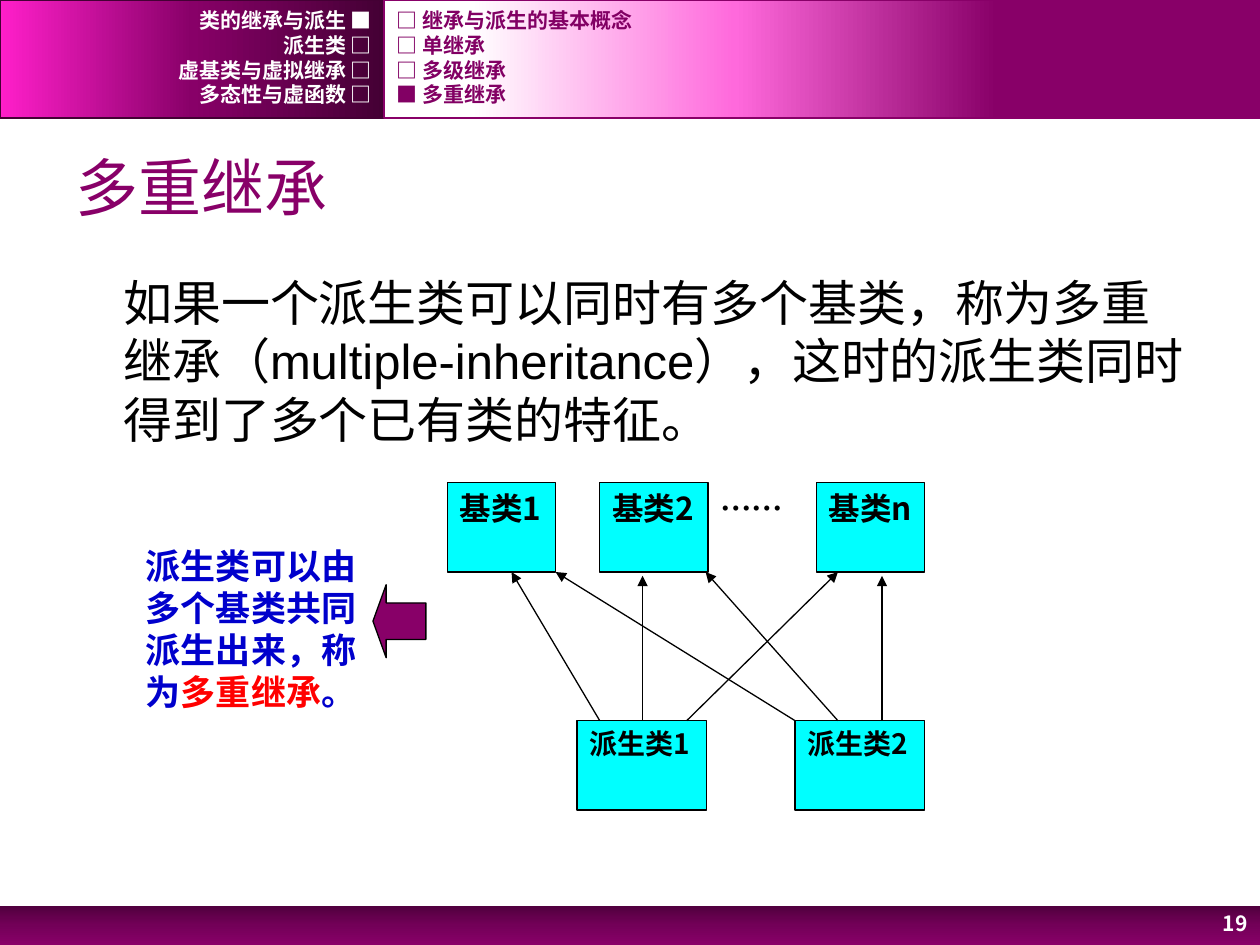
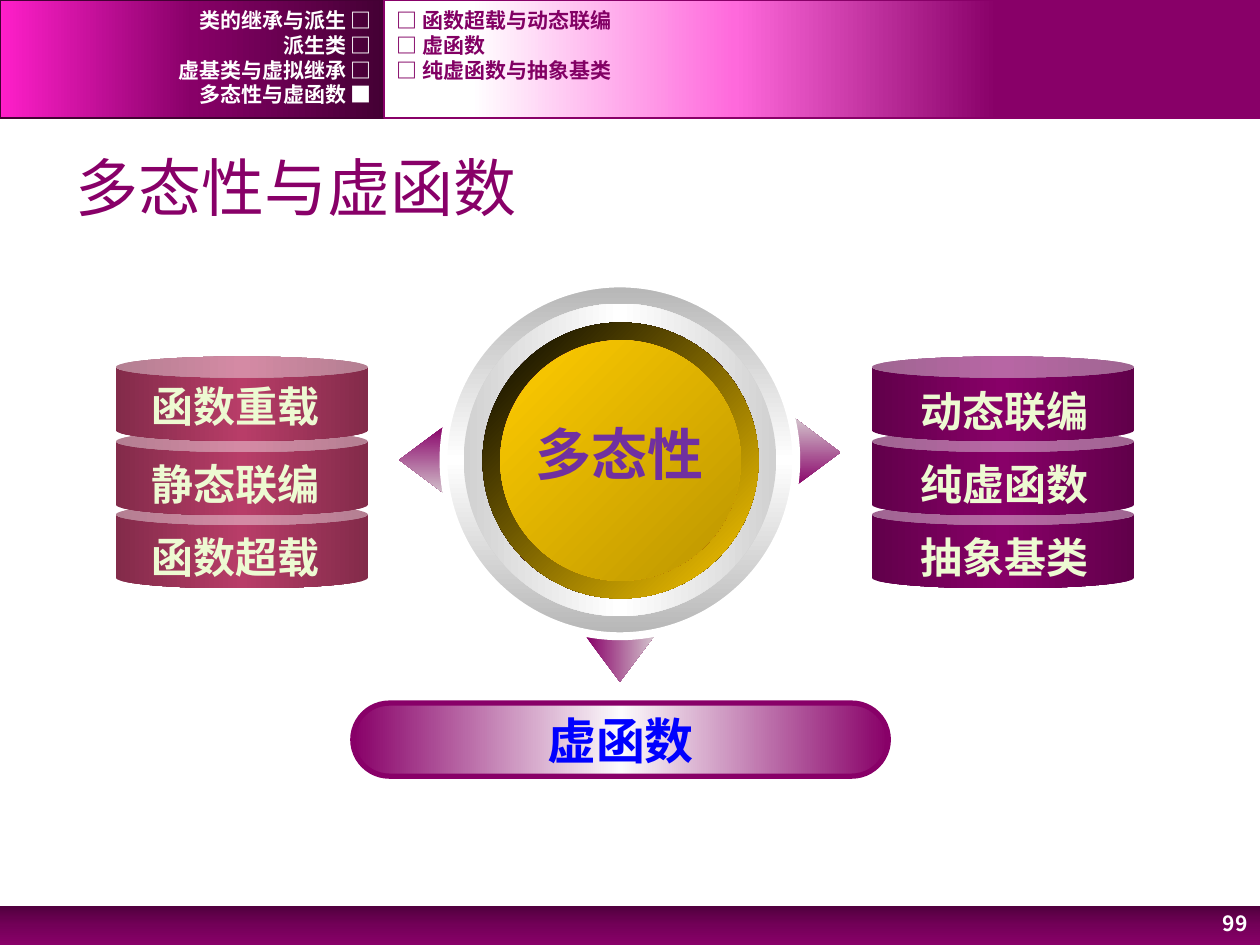
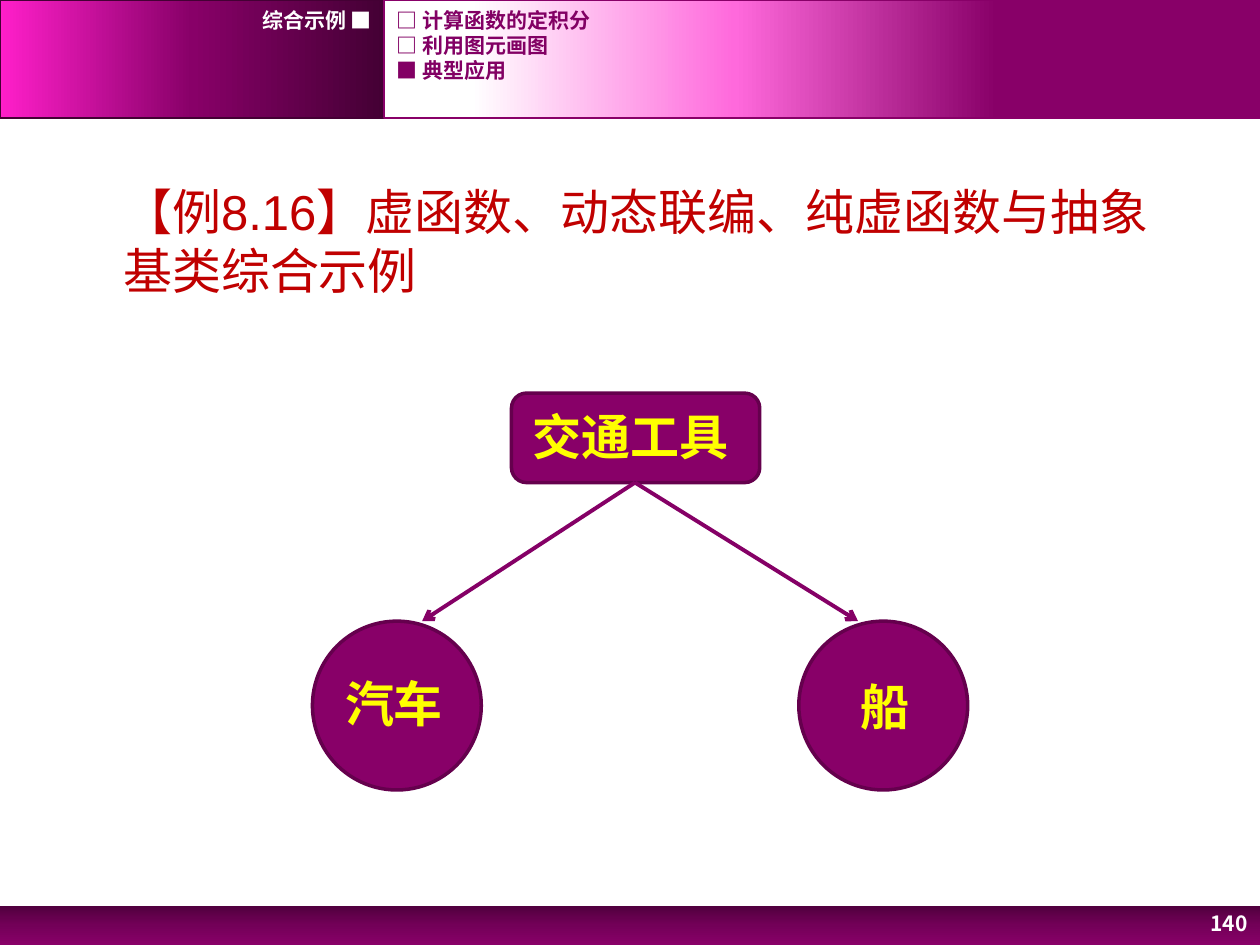
from lxml import etree
from pptx import Presentation
from pptx.dml.color import RGBColor
from pptx.enum.shapes import MSO_CONNECTOR, MSO_SHAPE
from pptx.enum.text import MSO_ANCHOR, PP_ALIGN
from pptx.oxml.ns import qn
from pptx.util import Inches, Pt

LINE = MSO_CONNECTOR.STRAIGHT
RECT, ROUND, OVAL = MSO_SHAPE.RECTANGLE, MSO_SHAPE.ROUNDED_RECTANGLE, MSO_SHAPE.OVAL
CAN, UP, BACK = MSO_SHAPE.CAN, MSO_SHAPE.UP_ARROW, MSO_SHAPE.LEFT_ARROW
TOP, MID = MSO_ANCHOR.TOP, MSO_ANCHOR.MIDDLE
LEFT, RIGHT, CENTER, FULL = PP_ALIGN.LEFT, PP_ALIGN.RIGHT, PP_ALIGN.CENTER, PP_ALIGN.JUSTIFY
SANS, ARIAL, MONO = "Noto Sans CJK SC", "Arial", "Courier New"
COLORS = {
    "plum": "880068", "dark": "440034", "deep": "51003E", "dusk": "730058",
    "pink": "FF1FCA", "rose": "FF69DC", "menu": "820064", "edge": "65004D",
    "arrow": "850066", "core": "680050", "pale": "FCFBFC", "wine": "B83D68",
    "white": "FFFFFF", "black": "000000", "cyan": "00FFFF", "gold": "FFCC00",
    "navy": "0000CC", "blue": "0000FF", "red": "FF0000", "brick": "C00000",
    "violet": "7030A0", "cream": "EDFAD2", "yellow": "FFFF00",
}


def shade(name, value):
    """Give a mirrored gradient whose ends are a shade of its middle."""
    return [(0, name, "shade", value), (50, name), (100, name, "shade", value)]


class Deck:
    """Hold the shared style and the current slide."""

    def __init__(self):
        """Open an empty 10 by 7.5 inch deck."""
        self.prs = Presentation()
        self.prs.slide_width, self.prs.slide_height = Inches(10), Inches(7.5)
        self.slide = None

    def color(self, name):
        """Look up a colour by name."""
        return RGBColor.from_string(COLORS[name])

    def blend(self, fill, stops, angle):
        """Apply a linear gradient running clockwise at the angle."""
        fill.gradient()
        fill.gradient_angle = -angle % 360
        group = fill._xPr.find(qn("a:gradFill")).find(qn("a:gsLst"))
        for old in list(group):
            group.remove(old)
        for spot, name, *mod in stops:
            stop = etree.SubElement(group, qn("a:gs"), pos=str(spot * 1000))
            tone = etree.SubElement(stop, qn("a:srgbClr"), val=COLORS[name])
            if mod:
                etree.SubElement(tone, qn("a:" + mod[0]), val=str(mod[1]))

    def shape(self, kind, box, fill, line=None, width=0.75, angle=0, adj=(), turn=None):
        """Draw a preset shape; a turn also mirrors it."""
        item = self.slide.shapes.add_shape(kind, *map(Inches, box))
        item.shadow.inherit = False
        for i, value in enumerate(adj):
            item.adjustments[i] = value
        if isinstance(fill, str):
            item.fill.solid()
            item.fill.fore_color.rgb = self.color(fill)
        else:
            self.blend(item.fill, fill, angle)
        if line:
            item.line.color.rgb = self.color(line)
            item.line.width = Pt(width)
        else:
            item.line.fill.background()
        if turn is not None:
            item.rotation = turn
            item._element.spPr.find(qn("a:xfrm")).set("flipH", "1")
        return item

    def label(self, item, runs, size, font=SANS, bold=True, align=LEFT, anchor=TOP, wrap=True):
        """Fill an item with one paragraph of (text, colour) runs."""
        frame = item.text_frame
        frame.word_wrap, frame.vertical_anchor = wrap, anchor
        para = frame.paragraphs[0]
        para.alignment = align
        for words, name in runs:
            run = para.add_run()
            run.text = words
            run.font.name, run.font.size, run.font.bold = font, Pt(size), bold
            run.font.color.rgb = self.color(name)
            etree.SubElement(run._r.get_or_add_rPr(), qn("a:ea"), typeface=SANS)
        return para

    def text(self, box, runs, size, **style):
        """Add a text box."""
        item = self.slide.shapes.add_textbox(*map(Inches, box))
        return self.label(item, runs, size, **style)

    def title(self, words):
        """Add the slide title."""
        self.text((0.5, 1.09, 9, 0.78), [(words, "plum")], 36, font=ARIAL, bold=False, anchor=MID)

    def body(self, top, words, name):
        """Add the indented body text."""
        para = self.text((0.5, top, 9, 7.03 - top), [(words, name)], 28, font=ARIAL, bold=False)
        para.space_before = Pt(5.6)
        para._p.get_or_add_pPr().set("marL", str(Inches(0.38)))

    def arrow(self, start, end, name, width, head):
        """Draw a line with an arrowhead at its end."""
        item = self.slide.shapes.add_connector(LINE, *map(Inches, start + end))
        item.line.color.rgb = self.color(name)
        item.line.width = Pt(width)
        etree.SubElement(item.line._get_or_add_ln(), qn("a:tailEnd"), type=head)
        etree.SubElement(item._element.spPr, qn("a:effectLst"))

    def menu(self, left, width, items, name, align):
        """List the outline entries in a header band."""
        for i, words in enumerate(items):
            self.text((left, 0.06 + 0.197 * i, width, 0.2), [(words, name)], 12,
                      font=MONO, align=align, anchor=MID)

    def page(self, number, parts, topics):
        """Start a slide with its bands, outline and number."""
        self.slide = self.prs.slides.add_slide(self.prs.slide_layouts[6])
        self.shape(RECT, (0, 7.19, 10, 0.31), [(0, "deep"), (50, "dusk"), (100, "plum")], angle=90)
        self.shape(RECT, (0, 0, 3.05, 0.94), [(0, "dark"), (50, "plum"), (100, "pink")],
                   "dark", 1, 180)
        self.shape(RECT, (3.05, 0, 6.95, 0.94), [(30, "plum"), (60, "rose"), (90, "white")],
                   "plum", 1, 180)
        self.menu(0, 3.05, parts, "white", RIGHT)
        self.menu(3.05, 6.02, topics, "menu", LEFT)
        self.text((9.18, 7.16, 0.82, 0.34), [(str(number), "white")], 12, align=RIGHT, anchor=MID)


def multiple(deck):
    """Build the slide on multiple inheritance."""
    deck.page(19, ["类的继承与派生 ■", "派生类 □", "虚基类与虚拟继承 □", "多态性与虚函数 □"],
              ["□ 继承与派生的基本概念", "□ 单继承", "□ 多级继承", "■ 多重继承"])
    deck.title("多重继承")
    deck.body(2.11, "如果一个派生类可以同时有多个基类，称为多重继承（multiple-inheritance），"
              "这时的派生类同时得到了多个已有类的特征。", "black")
    for left, top, width, size, words in [
        (3.55, 3.83, 0.86, 18, "基类1"), (4.76, 3.83, 0.86, 18, "基类2"),
        (6.48, 3.83, 0.86, 18, "基类n"), (4.58, 5.72, 1.03, 16, "派生类1"),
        (6.31, 5.72, 1.03, 16, "派生类2"),
    ]:
        box = deck.shape(RECT, (left, top, width, 0.71), "cyan", "black")
        deck.label(box, [(words, "black")], size, align=FULL)
    deck.text((5.62, 3.83, 0.86, 0.71), [("……", "black")], 18, align=FULL)
    for start, end, top in [(4.76, 4.06, 4.54), (5.1, 5.1, 4.57), (5.45, 6.65, 4.54),
                            (6.31, 4.41, 4.54), (6.65, 5.6, 4.54), (7, 7, 4.57)]:
        deck.arrow((start, 5.72), (end, top), "black", 0.75, "triangle")
    deck.text((1.06, 4.27, 1.96, 1.45),
              [("派生类可以由多个基类共同派生出来，称为", "navy"), ("多重继承", "red"), ("。", "navy")], 20)
    deck.shape(BACK, (2.96, 4.64, 0.42, 0.58), "plum", "black", adj=(0.5, 0.25))


def virtual(deck):
    """Build the slide on polymorphism and virtual functions."""
    deck.page(99, ["类的继承与派生 □", "派生类 □", "虚基类与虚拟继承 □", "多态性与虚函数 ■"],
              ["□ 函数超载与动态联编", "□ 虚函数", "□ 纯虚函数与抽象基类"])
    deck.title("多态性与虚函数")
    for left, top, turn in [(3.08, 3.47, 270), (6.22, 3.41, 90), (4.65, 5.05, 180)]:
        deck.shape(UP, (left, top, 0.54, 0.36), [(0, "plum"), (100, "plum", "tint", 45490)],
                   adj=(0.52, 1), turn=turn)
    for left, top, size, fill, angle, line in [
        (3.52, 2.25, 2.8, shade("white", 46275), 90, "white"),
        (3.68, 2.41, 2.48, shade("white", 63529), 0, None),
        (3.83, 2.56, 2.19, [(0, "white"), (50, "plum"), (100, "white")], 45, None),
        (3.83, 2.56, 2.19, [(0, "black"), (100, "gold")], 45, None),
        (3.97, 2.7, 1.91, [(0, "core"), (50, "plum"), (100, "core")], 315, None),
        (3.97, 2.7, 1.91, [(0, "gold"), (100, "gold", "shade", 49020)], 45, None),
    ]:
        deck.shape(OVAL, (left, top, size, size), fill, line, 4.5, angle)
    for left, width, name, inset, first, labels in [
        (0.92, 2, "wine", 1.09, 2.97, ["函数重载", "静态联编", "函数超载"]),
        (6.92, 2.08, "plum", 7.19, 3.01, ["动态联编", "纯虚函数", "抽象基类"]),
    ]:
        for top in (4, 3.42, 2.83):
            deck.shape(CAN, (left, top, width, 0.67), shade(name, 46275), adj=(0.25,))
        for top, words in zip((first, 3.59, 4.17), labels):
            deck.text((inset, top, 1.56, 0.5), [(words, "cream")], 24, align=CENTER, wrap=False)
    deck.text((4.14, 3.28, 1.55, 0.64), [("多态性", "violet")], 32, align=CENTER, wrap=False)
    pill = deck.shape(ROUND, (2.8, 5.58, 4.25, 0.58),
                      [(0, "plum"), (50, "pale"), (100, "plum")], "plum", 3, adj=(0.5,))
    deck.label(pill, [("虚函数", "blue")], 28, align=CENTER, anchor=MID, wrap=False)


def sample(deck):
    """Build the slide with the vehicle example."""
    deck.page(140, ["综合示例 ■"], ["□ 计算函数的定积分", "□ 利用图元画图", "■ 典型应用"])
    deck.body(1.39, "【例8.16】虚函数、动态联编、纯虚函数与抽象基类综合示例", "brick")
    deck.shape(ROUND, (4.06, 3.12, 1.97, 0.71), "plum", "edge", 2)
    for left in (2.48, 6.34):
        deck.shape(OVAL, (left, 4.93, 1.34, 1.34), "plum", "edge", 2)
    for left, top, width, words in [(2.64, 5.3, 1.02, "汽车"), (6.73, 5.32, 0.63, "船"),
                                    (4.13, 3.18, 1.81, "交通工具")]:
        deck.text((left, top, width, 0.57), [(words, "yellow")], 28, font=ARIAL)
    for end in (3.35, 6.81):
        deck.arrow((5.04, 3.83), (end, 4.93), "arrow", 2.25, "arrow")


def main():
    """Build and save the deck."""
    deck = Deck()
    multiple(deck)
    virtual(deck)
    sample(deck)
    deck.prs.save("out.pptx")


if __name__ == "__main__":
    main()
